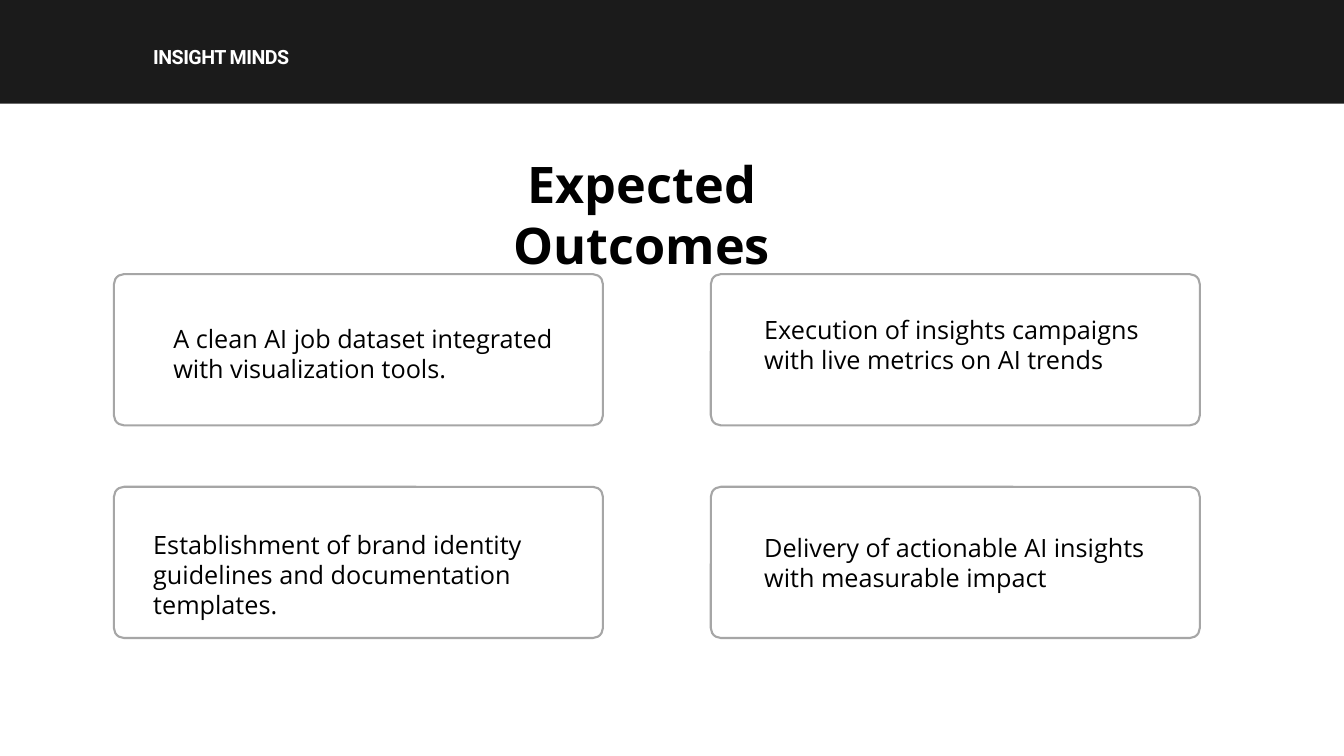
"""Build the Expected Outcomes slide with four outcome cards."""
from pptx import Presentation
from pptx.dml.color import RGBColor
from pptx.enum.shapes import MSO_SHAPE as SHAPE
from pptx.enum.text import MSO_ANCHOR as ANCHOR, MSO_AUTO_SIZE as AUTO, PP_ALIGN as ALIGN
from pptx.util import Inches, Pt

HEADER = "INSIGHT MINDS"
TITLE = "Expected Outcomes"
# column, row, text left, text top, text height, text
OUTCOMES = [
    (0, 0, 1.72, 3.21, 0.61, "A clean AI job dataset integrated with visualization tools."),
    (0, 1, 1.52, 5.25, 0.91,
     "Establishment of brand identity guidelines and documentation templates."),
    (1, 0, 7.58, 3.12, 0.61, "Execution of insights campaigns with live metrics on AI trends"),
    (1, 1, 7.58, 5.28, 0.61, "Delivery of actionable AI insights with measurable impact"),
]
SLIDE_W, SLIDE_H, BAND_H = 13.33, 7.5, 1.03
CARD_X, CARD_Y, CARD_W, CARD_H = 1.13, 2.72, 4.85, 1.5
STEP_X, STEP_Y, RADIUS = 5.92, 2.11, 0.1
TEXT_W = 3.8


def rgb(value):
    return RGBColor.from_string(value)


def add_run(p, text, size, font, color, bold=False):
    r = p.add_run()
    r.text = text
    r.font.size, r.font.name, r.font.bold = Pt(size), font, bold
    r.font.color.rgb = rgb(color)
    return r


def add_box(s, kind, x, y, w, h, fill, line=None):
    sp = s.shapes.add_shape(kind, Inches(x), Inches(y), Inches(w), Inches(h))
    sp.shadow.inherit = False
    sp.fill.solid()
    sp.fill.fore_color.rgb = rgb(fill)
    if line:
        sp.line.color.rgb = rgb(line)
        sp.line.width = Pt(1.5)
    else:
        sp.line.fill.background()
    return sp


def add_text(s, x, y, w, h, spacing, text, size, font, color, bold=False):
    tf = s.shapes.add_textbox(Inches(x), Inches(y), Inches(w), Inches(h)).text_frame
    tf.word_wrap = True
    tf.margin_left = tf.margin_top = tf.margin_right = tf.margin_bottom = 0
    p = tf.paragraphs[0]
    p.line_spacing = Pt(spacing)
    return add_run(p, text, size, font, color, bold)


def add_title(s):
    sp = s.shapes.title
    sp.left, sp.top, sp.width, sp.height = map(Inches, (3.92, 1.47, 4.89, 0.71))
    tf = sp.text_frame
    tf.word_wrap, tf.auto_size, tf.vertical_anchor = True, AUTO.NONE, ANCHOR.TOP
    p = tf.paragraphs[0]
    p.alignment = ALIGN.CENTER
    add_run(p, TITLE, 36, "Open Sans", "000000", True)


def main():
    prs = Presentation()
    prs.slide_width, prs.slide_height = Inches(SLIDE_W), Inches(SLIDE_H)
    s = prs.slides.add_slide(prs.slide_layouts[5])
    add_title(s)
    add_box(s, SHAPE.RECTANGLE, 0, 0, SLIDE_W, BAND_H, "1B1B1B")
    r = add_text(s, 1.52, 0.41, 1.77, 0.26, 19.6, HEADER, 14, "Roboto", "FFFFFF", True)
    r.font._element.set("spc", "-40")
    for col, row, x, y, h, text in OUTCOMES:
        card = add_box(s, SHAPE.ROUNDED_RECTANGLE, CARD_X + col * STEP_X, CARD_Y + row * STEP_Y,
                       CARD_W, CARD_H, "FFFFFF", "A6A6A6")
        card.adjustments[0] = RADIUS / CARD_H
        add_text(s, x, y, TEXT_W, h, 21.6, text, 18, "Open Sans", "000000")
    prs.save("out.pptx")


if __name__ == "__main__":
    main()
